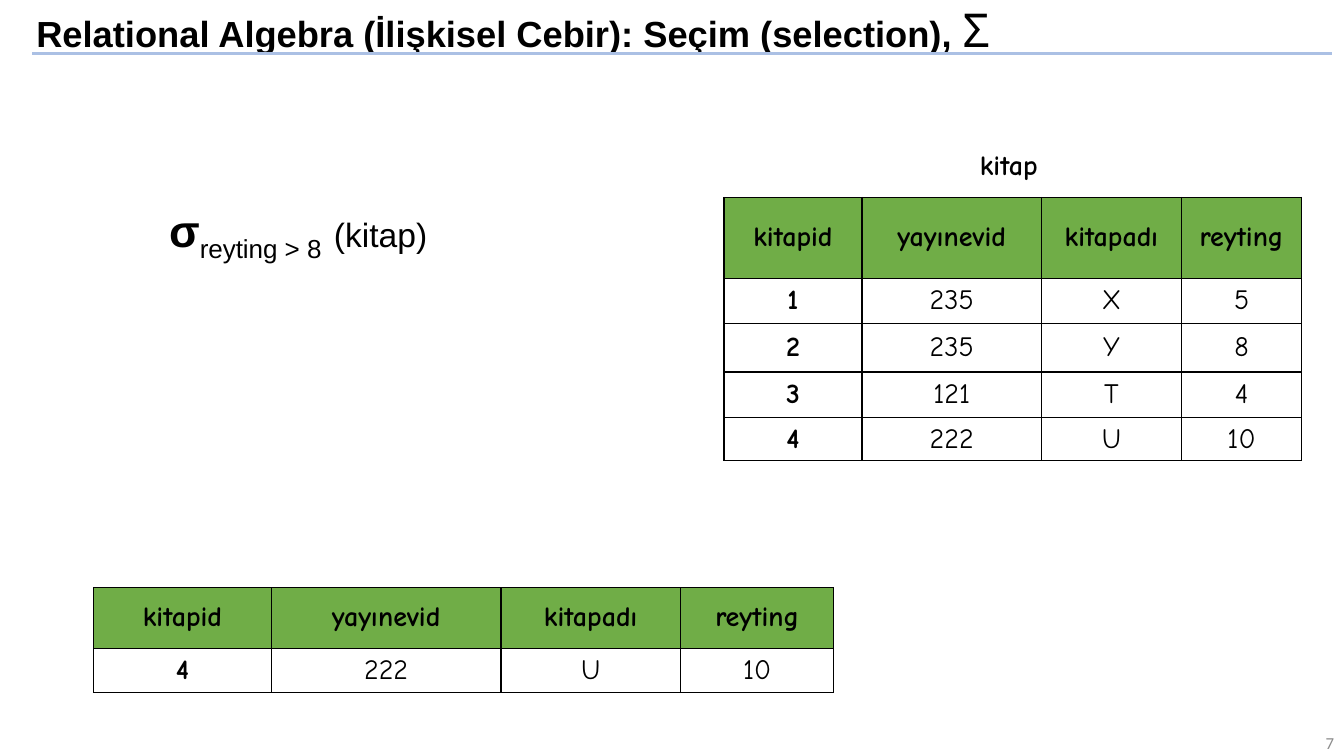
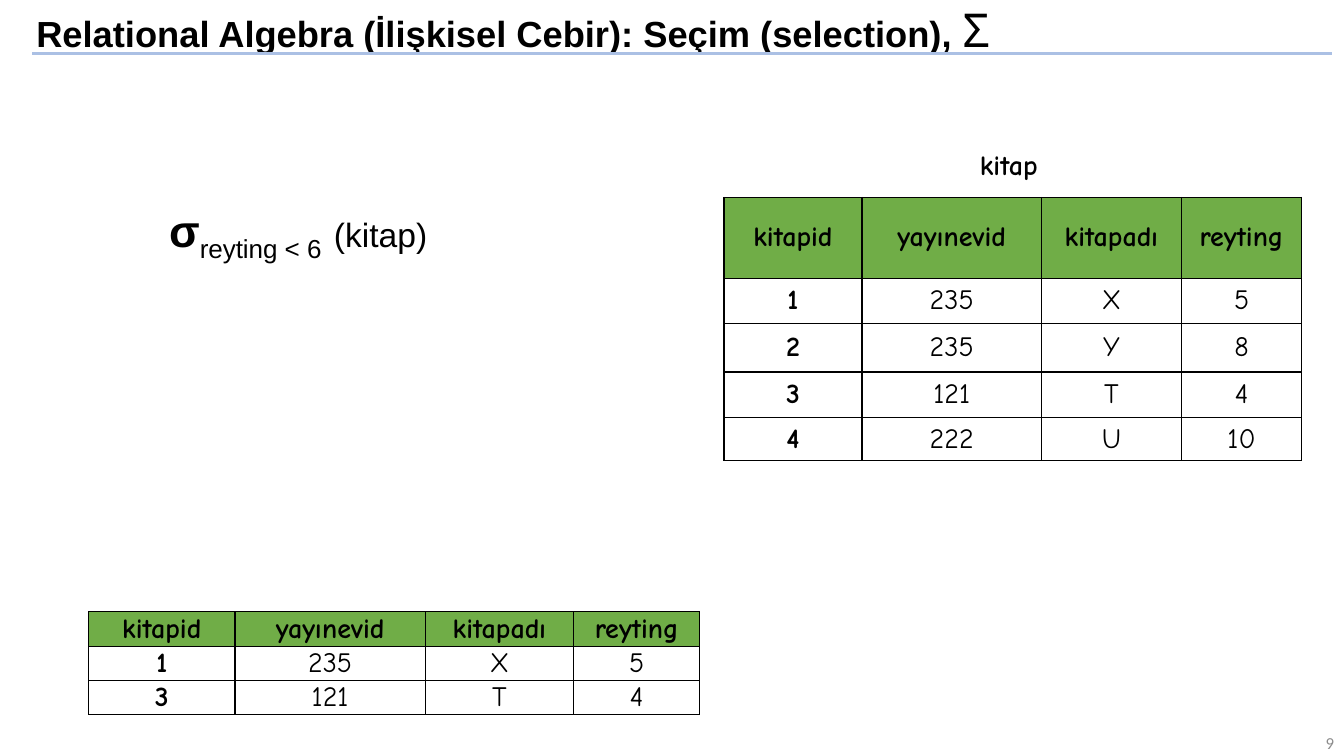
from pptx import Presentation
from pptx.dml.color import RGBColor
from pptx.enum.shapes import MSO_CONNECTOR as Link
from pptx.enum.text import MSO_ANCHOR as Anchor, MSO_AUTO_SIZE as Fit, PP_ALIGN as Align
from pptx.oxml import parse_xml
from pptx.oxml.ns import nsdecls
from pptx.util import Pt

PX = 9144  # EMU per px, 100 px to the inch

# Shared colours and text formats
BLACK, WHITE, GREEN, BLUE, GREY = "000000", "FFFFFF", "70AD47", "ABC0E4", "8C8C8C"
HEAD = dict(name="Arial", size=Pt(25.9), bold=True)
SIGN = dict(name="Comic Neue", size=Pt(33.3), bold=False)
BOLD = dict(name="Comic Neue", size=Pt(20), bold=True)
BODY = dict(BOLD, bold=False)
SIGMA = dict(name="Arial", size=Pt(32), bold=True)
TERM = dict(SIGMA, bold=False)
NAME = dict(TERM, size=Pt(24))
PAGE = dict(name="Calibri", size=Pt(12), bold=False)

# Content
TITLE = "Relational Algebra (İlişkisel Cebir): Seçim (selection), "
FIELDS = ("kitapid", "yayınevid", "kitapadı", "reyting")
BOOKS = [(1, 235, "X", 5), (2, 235, "Y", 8), (3, 121, "T", 4), (4, 222, "U", 10)]


def px(*vals):
    return [val * PX for val in vals]


def rgb(code):
    return RGBColor.from_string(code)


def style(item, **vals):
    for key, val in vals.items():
        setattr(item, key, val)


def paint(item, code):
    item.fill.solid()
    item.fill.fore_color.rgb = rgb(code)


def write(para, text, font, color=BLACK, base=0):
    run = para.add_run()
    run.text = text
    style(run.font, **font)
    run.font.color.rgb = rgb(color)
    if base:
        run.font._element.set("baseline", str(base * 1000))


def label(slide, box, runs, align=Align.LEFT, anchor=Anchor.TOP, wrap=True):
    frame = slide.shapes.add_textbox(*px(*box)).text_frame
    style(frame, word_wrap=wrap, vertical_anchor=anchor)
    para = frame.paragraphs[0]
    para.alignment = align
    for run in runs:
        write(para, *run)


def heading(slide):
    title = slide.shapes.title
    left, top, width, height = px(26, 4, 1179, 59)
    style(title, left=left, top=top, width=width, height=height)
    paint(title, WHITE)
    frame = title.text_frame
    style(frame, auto_size=Fit.NONE, word_wrap=True, vertical_anchor=Anchor.MIDDLE)
    para = frame.paragraphs[0]
    style(para, alignment=Align.LEFT, line_spacing=0.8, space_before=Pt(0), space_after=Pt(6))
    write(para, TITLE, HEAD)
    write(para, "Σ", SIGN)


def rule(slide):
    line = slide.shapes.add_connector(Link.STRAIGHT, *px(32, 53, 1321, 53))
    style(line.line, width=Pt(1.75))
    line.line.color.rgb = rgb(BLUE)
    line._element.spPr.append(parse_xml(f"<a:effectLst {nsdecls('a')}/>"))


def border(cell):
    props = cell._tc.get_or_add_tcPr()
    for side in "LRTB":
        props.append(parse_xml(
            f'<a:ln{side} {nsdecls("a")} w="12700"><a:solidFill>'
            f'<a:srgbClr val="{BLACK}"/></a:solidFill></a:ln{side}>'))


def grid(slide, left, top, cols, rows, data):
    box = px(left, top, sum(cols), sum(rows))
    table = slide.shapes.add_table(len(rows), len(cols), *box).table
    table.horz_banding = False
    for col, width in zip(table.columns, cols):
        col.width = width * PX
    for row, height in zip(table.rows, rows):
        row.height = height * PX
    for y, line in enumerate([FIELDS, *data]):
        for x, val in enumerate(line):
            cell = table.cell(y, x)
            border(cell)
            paint(cell, WHITE if y else GREEN)
            style(cell, vertical_anchor=Anchor.MIDDLE, margin_left=5 * PX,
                  margin_right=5 * PX, margin_top=0, margin_bottom=0)
            para = cell.text_frame.paragraphs[0]
            para.alignment = Align.CENTER
            write(para, str(val), BODY if x and y else BOLD)


def build(deck, page, term, test, left, top, cols, rows):
    slide = deck.slides.add_slide(deck.slide_layouts[5])
    heading(slide)
    rule(slide)

    # Source table and its name
    label(slide, (962, 141, 87, 44), [("kitap", BOLD)], wrap=False)
    grid(slide, 718, 196, (137, 178, 139, 119), (80, 45, 48, 45, 43), BOOKS)

    # Selection and its result
    label(slide, (158, 196, 357, 64),
          [("σ", SIGMA), (term, TERM, BLACK, -25), (" ", TERM), ("(kitap)", NAME)],
          align=Align.JUSTIFY)
    grid(slide, left, top, cols, rows, [book for book in BOOKS if test(book[3])])

    # Page number
    label(slide, (1033, 723, 300, 27), [(page, PAGE, GREY)], Align.RIGHT, Anchor.MIDDLE)


def main():
    deck = Presentation()
    wide, high = px(1333, 750)
    style(deck, slide_width=wide, slide_height=high)
    build(deck, "7", "reyting > 8", lambda rate: rate > 8,
          93, 583, (176, 228, 178, 152), (60, 44))
    build(deck, "9", "reyting < 6", lambda rate: rate < 6,
          88, 607, (145, 189, 147, 125), (34, 34, 34))
    deck.save("out.pptx")


if __name__ == "__main__":
    main()
